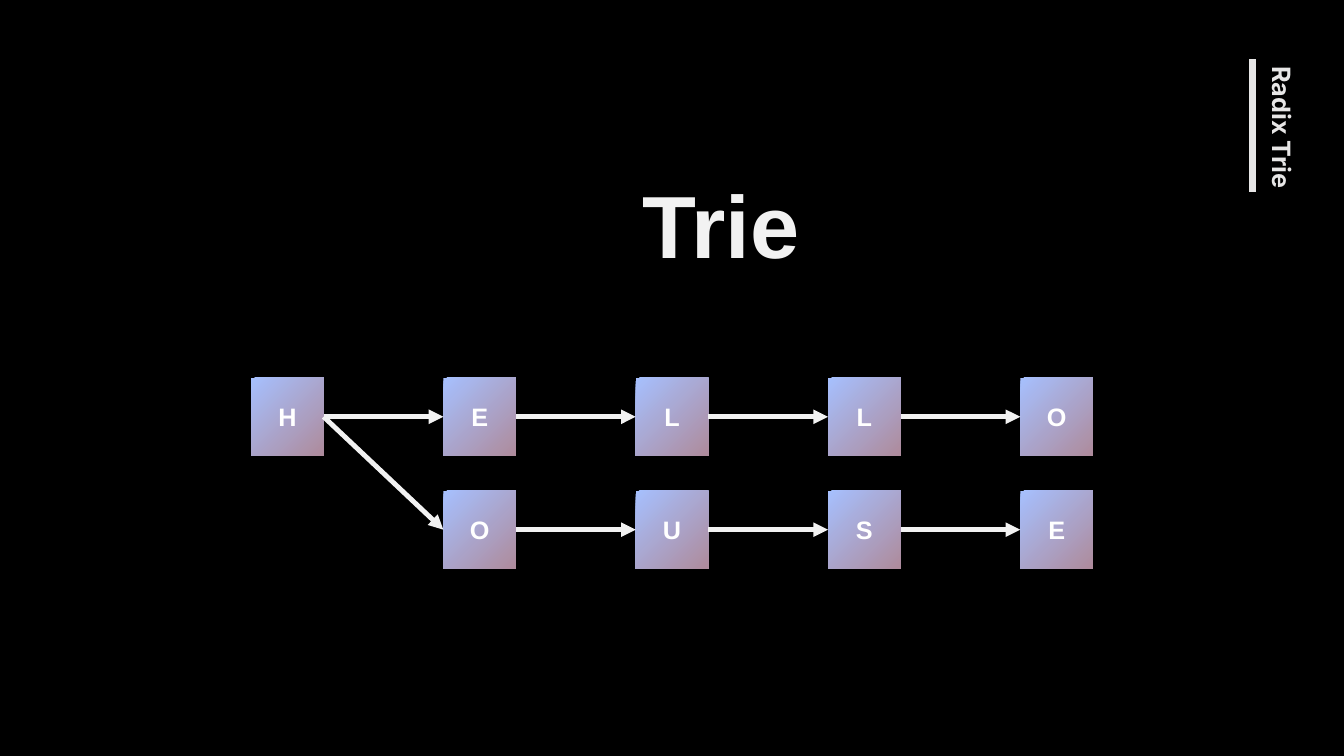
from dataclasses import dataclass

import pptx
import pptx.dml.color
import pptx.enum.shapes
import pptx.enum.text
import pptx.oxml
import pptx.oxml.ns
import pptx.util

WORDS = ["HELLO", "HOUSE"]


@dataclass(frozen=True)
class Theme:
    background: str = "000000"
    section: str = "E7E6E6"
    bright: str = "F2F2F2"
    letter: str = "FFFFFF"
    gradient: tuple = ("A6C0FE", "AE8B9C")
    font: str = "Arial"
    section_font: str = "Inter"
    title_size: float = 63
    body_size: float = 18
    arrow_width: float = 3.5
    bar_width: float = 5


@dataclass(frozen=True)
class Grid:
    """Node cells: the left and top of the first one, the pitch and the node size."""
    left: float = 2.49
    top: float = 3.75
    column: float = (10.12 - 2.49) / 4
    row: float = 1.12
    width: float = 0.72
    height: float = 0.77

    def cell(self, column, row):
        return (self.left + column * self.column, self.top + row * self.row,
                self.width, self.height)


def inches(values):
    return [pptx.util.Inches(value) for value in values]


def colour(code):
    return pptx.dml.color.RGBColor.from_string(code)


class TrieSlide:
    def __init__(self, deck, theme, grid):
        self.theme = theme
        self.grid = grid
        self.page = deck.slides.add_slide(deck.slide_layouts[5])
        fill = self.page.background.fill
        fill.solid()
        fill.fore_color.rgb = colour(theme.background)

    def set_text(self, box, text, size, code, font, align, anchor, wrap=False):
        frame = box.text_frame
        frame.word_wrap = wrap
        frame.auto_size = pptx.enum.text.MSO_AUTO_SIZE.NONE
        frame.vertical_anchor = anchor
        para = frame.paragraphs[0]
        para.alignment = align
        span = para.add_run()
        span.text = text
        span.font.size = pptx.util.Pt(size)
        span.font.name = font
        span.font.bold = True
        span.font.color.rgb = colour(code)

    def title(self, text, *place):
        box = self.page.shapes.title
        box.left, box.top, box.width, box.height = inches(place)
        self.set_text(box, text, self.theme.title_size, self.theme.bright, self.theme.font,
                      pptx.enum.text.PP_ALIGN.LEFT, pptx.enum.text.MSO_ANCHOR.TOP)

    def vertical_label(self, text, *place):
        box = self.page.shapes.add_textbox(*inches(place))
        self.set_text(box, text, self.theme.body_size, self.theme.section,
                      self.theme.section_font, pptx.enum.text.PP_ALIGN.LEFT,
                      pptx.enum.text.MSO_ANCHOR.TOP)
        box.text_frame._txBody.bodyPr.set("vert", "eaVert")

    def node(self, letter, column, row):
        box = self.page.shapes.add_shape(pptx.enum.shapes.MSO_SHAPE.RECTANGLE,
                                         *inches(self.grid.cell(column, row)))
        box.shadow.inherit = False
        box.line.fill.background()
        box.fill.gradient()
        box.fill.gradient_angle = 315
        for stop, code in zip(box.fill.gradient_stops, self.theme.gradient):
            stop.color.rgb = colour(code)
        self.set_text(box, letter, self.theme.body_size, self.theme.letter, self.theme.font,
                      pptx.enum.text.PP_ALIGN.CENTER, pptx.enum.text.MSO_ANCHOR.MIDDLE, True)
        return box

    def line(self, code, width, *ends):
        line = self.page.shapes.add_connector(pptx.enum.shapes.MSO_CONNECTOR.STRAIGHT,
                                              *inches(ends))
        line.line.color.rgb = colour(code)
        line.line.width = pptx.util.Pt(width)
        line._element.spPr.append(pptx.oxml.parse_xml(
            f"<a:effectLst {pptx.oxml.ns.nsdecls('a')}/>"))
        return line

    def arrow(self, parent, child):
        """Join the right side of parent to the left side of child."""
        arrow = self.line(self.theme.bright, self.theme.arrow_width, 0, 0, 0, 0)
        arrow.begin_connect(parent, 3)
        arrow.end_connect(child, 1)
        arrow.line._get_or_add_ln().append(pptx.oxml.parse_xml(
            f"<a:tailEnd {pptx.oxml.ns.nsdecls('a')} type='triangle'/>"))

    def section_bar(self, x, top, bottom):
        self.line(self.theme.section, self.theme.bar_width, x, top, x, bottom)

    def trie(self, words):
        """Draw one node per distinct prefix, one row per word."""
        nodes = {}
        for row, word in enumerate(words):
            for column, letter in enumerate(word):
                prefix = word[:column + 1]
                if prefix not in nodes:
                    nodes[prefix] = self.node(letter, column, row)
        for prefix, child in nodes.items():
            if len(prefix) > 1:
                self.arrow(nodes[prefix[:-1]], child)


def main():
    deck = pptx.Presentation()
    deck.slide_width, deck.slide_height = inches((13.33, 7.5))
    slide = TrieSlide(deck, Theme(), Grid())
    slide.vertical_label("Radix Trie", 12.42, 0.56, 0.5, 1.34)
    slide.section_bar(12.42, 0.59, 1.9)
    slide.trie(WORDS)
    slide.title("Trie", 6.27, 1.64, 1.77, 1.16)
    deck.save("out.pptx")


if __name__ == "__main__":
    main()
